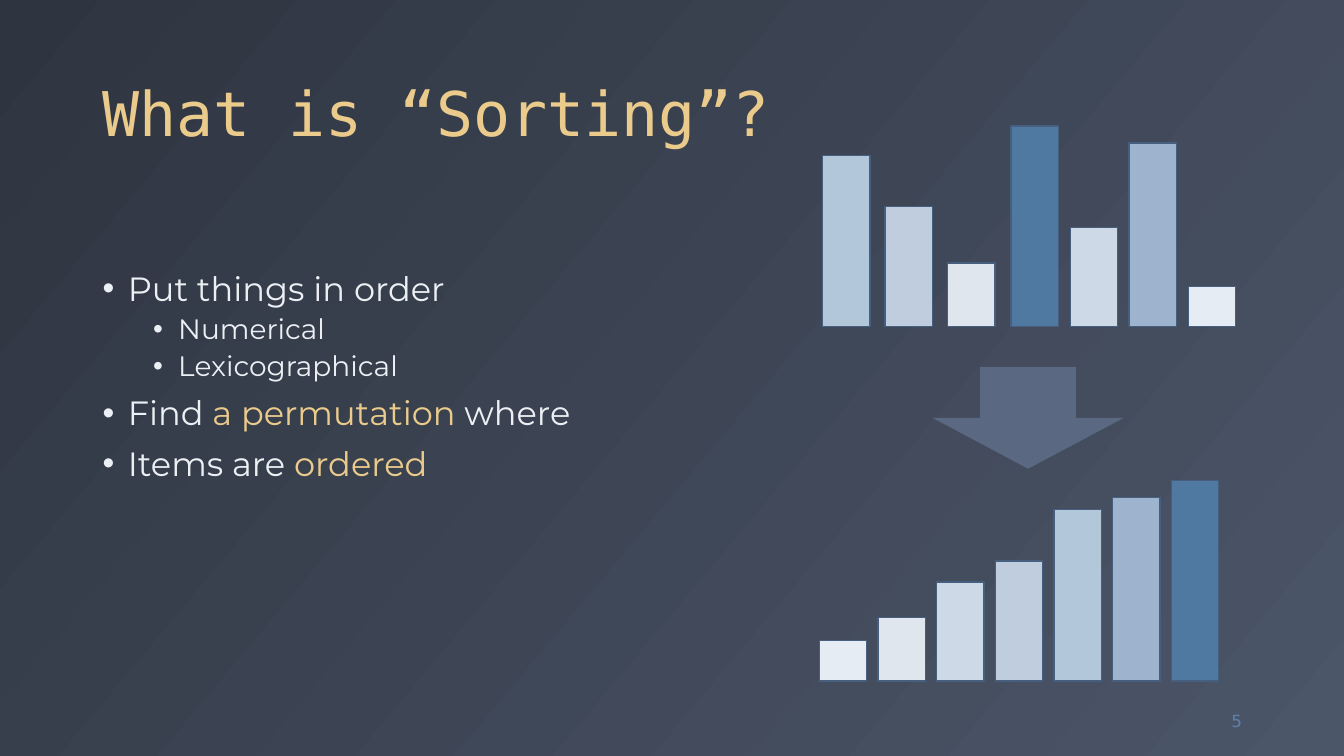
import pptx
import pptx.util
import pptx.dml.color
import pptx.enum.shapes
import pptx.enum.text
import pptx.oxml.ns
import lxml.etree

RGB = pptx.dml.color.RGBColor
KIND = pptx.enum.shapes.MSO_SHAPE
ANCHOR = pptx.enum.text.MSO_ANCHOR
ALIGN = pptx.enum.text.PP_ALIGN

NIGHT = RGB(0x2E, 0x34, 0x40)
SLATE = RGB(0x4C, 0x56, 0x69)
GOLD = RGB(0xEB, 0xCB, 0x8B)
SNOW = RGB(0xEC, 0xEF, 0xF3)
BLUE = RGB(0x5E, 0x81, 0xAC)
EDGE = RGB(0x46, 0x5F, 0x7F)
STEEL = RGB(0x5B, 0x68, 0x82)

COLS, ROWS = 160, 90
CELL = pptx.util.Inches(1) // 12

BARS = [
    (4.8, RGB(0xE6, 0xEC, 0xF3)),
    (7.56, RGB(0xDF, 0xE6, 0xEE)),
    (11.76, RGB(0xCD, 0xD9, 0xE6)),
    (14.28, RGB(0xBF, 0xCD, 0xDE)),
    (20.4, RGB(0xB3, 0xC7, 0xDA)),
    (21.84, RGB(0x9E, 0xB3, 0xCD)),
    (23.88, RGB(0x50, 0x79, 0xA2)),
]
WIDE = 5.64
MIXED = [4, 3, 1, 6, 2, 5, 0]
LEFTS = [97.92, 105.36, 112.8, 120.36, 127.44, 134.4, 141.48]

POINTS = [
    (0, [("Put things in order", SNOW)]),
    (1, [("Numerical", SNOW)]),
    (1, [("Lexicographical", SNOW)]),
    (0, [("Find ", SNOW), ("a permutation ", GOLD), ("where", SNOW)]),
    (0, [("Items are ", SNOW), ("ordered", GOLD)]),
]


def grid(*cells):
    return [round(cell * CELL) for cell in cells]


def add_box(slide, area, anchor, inset=0.6):
    frame = slide.shapes.add_textbox(*grid(*area)).text_frame
    frame.word_wrap = True
    frame.vertical_anchor = anchor
    frame.margin_top = grid(inset)[0]
    return frame


def add_text(para, text, *, size, font, color):
    run = para.add_run()
    run.text = text
    run.font.size = pptx.util.Pt(size)
    run.font.name = font
    run.font.color.rgb = color


def add_dot(para, level):
    para.level = level
    props = para._p.get_or_add_pPr()
    props.set("marL", str(pptx.util.Inches(0.25 + 0.5 * level)))
    props.set("indent", str(pptx.util.Inches(-0.25)))
    qn = pptx.oxml.ns.qn
    lxml.etree.SubElement(props, qn("a:buFont")).set("typeface", "Arial")
    lxml.etree.SubElement(props, qn("a:buChar")).set("char", "•")


def add_list(frame, points):
    for rank, (level, parts) in enumerate(points):
        para = frame.add_paragraph() if rank else frame.paragraphs[0]
        add_dot(para, level)
        para.line_spacing = 0.9
        if rank:
            para.space_before = pptx.util.Pt(5 if level else 10)
        for text, color in parts:
            add_text(para, text, size=20 if level else 24,
                     font="Montserrat", color=color)


def add_form(slide, kind, area, fill, line=None):
    form = slide.shapes.add_shape(kind, *grid(*area))
    form.shadow.inherit = False
    form.fill.solid()
    form.fill.fore_color.rgb = fill
    if line is None:
        form.line.fill.background()
    else:
        form.line.color.rgb = line
        form.line.width = pptx.util.Pt(1)


def add_bars(slide, order, lefts, base):
    for rank, left in zip(order, lefts):
        tall, fill = BARS[rank]
        add_form(slide, KIND.RECTANGLE, (left, base - tall, WIDE, tall), fill, EDGE)


def paint(slide):
    fill = slide.background.fill
    fill.gradient()
    fill.gradient_angle = 320
    for stop, color, place in zip(fill.gradient_stops, (NIGHT, SLATE), (0, 1)):
        stop.color.rgb = color
        stop.position = place


def main():
    deck = pptx.Presentation()
    deck.slide_width, deck.slide_height = grid(COLS, ROWS)
    slide = deck.slides.add_slide(deck.slide_layouts[6])
    paint(slide)

    title = add_box(slide, (11.04, 2.16, 138, 16.32), ANCHOR.BOTTOM).paragraphs[0]
    title.line_spacing = 0.9
    add_text(title, "What is “Sorting”?", size=44, font="DejaVu Sans Mono", color=GOLD)

    body = add_box(slide, (11.04, 24, 68.04, 57.12), ANCHOR.TOP, inset=8.4)
    add_list(body, POINTS)

    page = add_box(slide, (139.08, 83.4, 9.96, 4.8), ANCHOR.MIDDLE).paragraphs[0]
    page.alignment = ALIGN.RIGHT
    add_text(page, "5", size=12, font="DejaVu Sans", color=BLUE)

    add_bars(slide, MIXED, LEFTS, 38.88)
    ranks = range(len(BARS))
    add_bars(slide, ranks, [97.56 + 6.98 * rank for rank in ranks], 81.06)
    add_form(slide, KIND.DOWN_ARROW, (111, 43.68, 22.8, 12.12), STEEL)

    deck.save("out.pptx")


if __name__ == "__main__":
    main()
